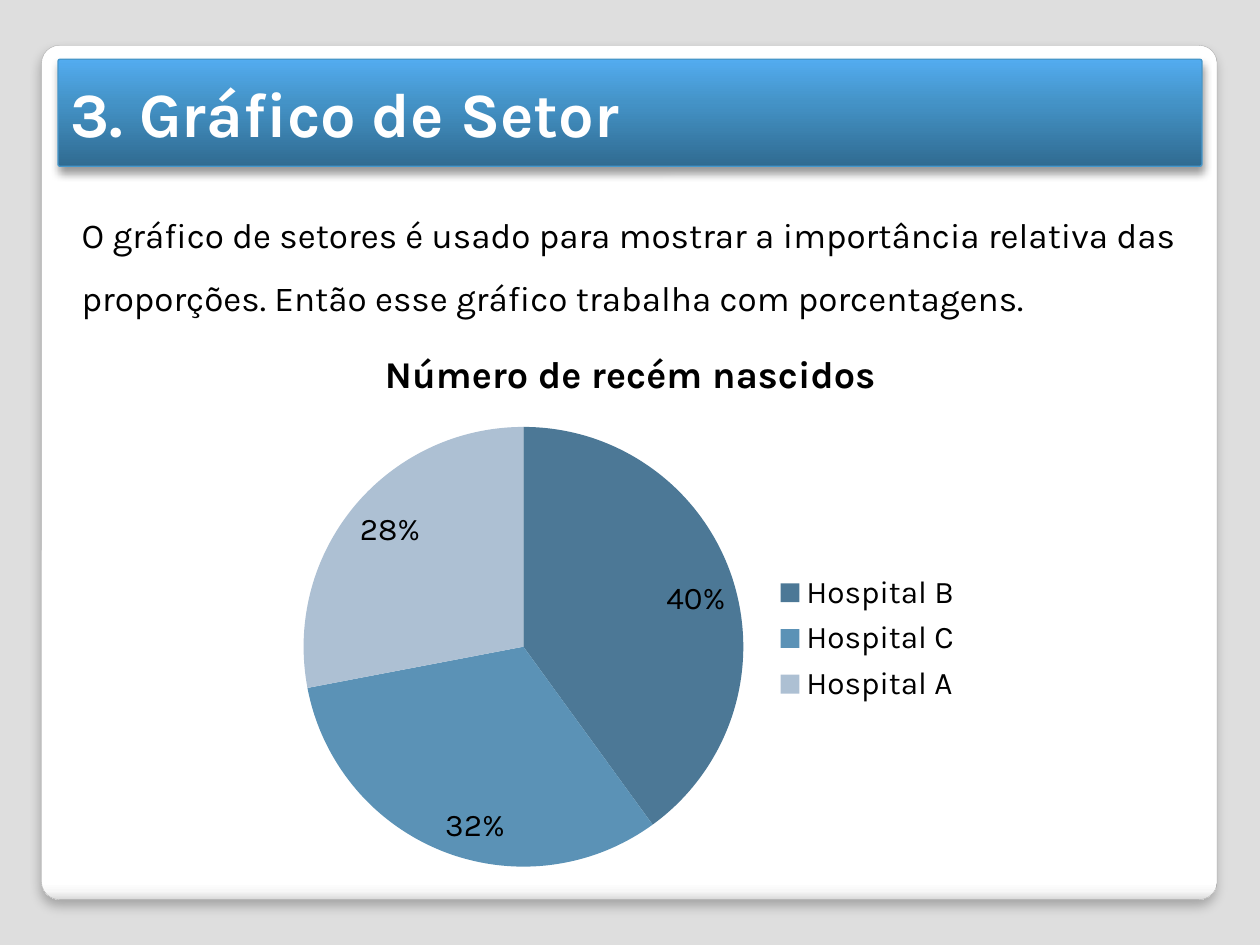
from lxml import etree
from pptx import Presentation
from pptx.chart.data import CategoryChartData
from pptx.dml.color import RGBColor
from pptx.enum.chart import XL_CHART_TYPE, XL_LABEL_POSITION, XL_LEGEND_POSITION
from pptx.enum.shapes import MSO_SHAPE
from pptx.enum.text import MSO_ANCHOR, PP_ALIGN
from pptx.oxml import parse_xml
from pptx.util import Inches, Pt

PIE = XL_CHART_TYPE.PIE
INSIDE_END = XL_LABEL_POSITION.INSIDE_END
RIGHT = XL_LEGEND_POSITION.RIGHT
ROUNDED = MSO_SHAPE.ROUNDED_RECTANGLE
MIDDLE, TOP = MSO_ANCHOR.MIDDLE, MSO_ANCHOR.TOP
LEFT = PP_ALIGN.LEFT
DRAWING = 'xmlns:a="http://schemas.openxmlformats.org/drawingml/2006/main"'
CHART = "http://schemas.openxmlformats.org/drawingml/2006/chart"
FONT = "Karla"

PANEL = {
    "stops": [(0, "FFFFFF"), (98, "FFFFFF"), (99, "F7F7F7"), (100, "DADADA")],
    "angle": 90, "line": ("A4A4A4", 0.16), "shadow": (25, 6, 4),
}
BANNER = {
    "stops": [(0, "306B91"), (60, "4493C7"), (100, "53ACF0")],
    "angle": 270, "line": ("4697CB", 0.75), "shadow": (40, 5.2, 3),
}
SHARES = {"Hospital B": (40, "4C7896"), "Hospital C": (32, "5B92B6"), "Hospital A": (28, "ADC0D3")}


def color(value):
    """Turn a hex string into a colour."""
    return RGBColor.from_string(value)


def inches(box):
    """Turn a box in inches into lengths."""
    return [Inches(length) for length in box]


def style_font(font, size, value="000000", bold=False):
    """Format a font."""
    for name, setting in {"name": FONT, "size": Pt(size), "bold": bold}.items():
        setattr(font, name, setting)
    font.color.rgb = color(value)


def add_plate(slide, box, look):
    """Add a rounded plate with a gradient and a soft shadow below."""
    plate = slide.shapes.add_shape(ROUNDED, *inches(box))
    plate.adjustments[0] = 0.021
    line_color, line_width = look["line"]
    plate.line.color.rgb = color(line_color)
    plate.line.width = Pt(line_width)
    stops = "".join(
        f'<a:gs pos="{share * 1000}"><a:srgbClr val="{value}"/></a:gs>'
        for share, value in look["stops"]
    )
    gradient = parse_xml(
        f'<a:gradFill {DRAWING} rotWithShape="1"><a:gsLst>{stops}</a:gsLst>'
        f'<a:lin ang="{look["angle"] * 60000}" scaled="0"/></a:gradFill>'
    )
    opacity, blur, distance = look["shadow"]
    effects = parse_xml(
        f'<a:effectLst {DRAWING}><a:outerShdw blurRad="{Pt(blur)}" dist="{Pt(distance)}" '
        f'dir="5400000" algn="t" rotWithShape="0"><a:srgbClr val="000000">'
        f'<a:alpha val="{opacity * 1000}"/></a:srgbClr></a:outerShdw></a:effectLst>'
    )
    properties = plate._element.spPr
    properties.insert(2, gradient)
    properties.append(effects)


def add_title(slide, box, text):
    """Place the title over its banner."""
    add_plate(slide, box, BANNER)
    title = slide.shapes.title
    title.left, title.top, title.width, title.height = inches(box)
    slide.shapes._spTree.append(title._element)
    frame = title.text_frame
    frame.text = text
    frame.vertical_anchor = MIDDLE
    para = frame.paragraphs[0]
    para.alignment = LEFT
    style_font(para.runs[0].font, 36, "FFFFFF", True)


def add_body(slide, box, text):
    """Add the introductory text."""
    frame = slide.shapes.add_textbox(*inches(box)).text_frame
    frame.word_wrap = True
    frame.vertical_anchor = TOP
    para = frame.paragraphs[0]
    para.line_spacing = 1.5
    span = para.add_run()
    span.text = text
    style_font(span.font, 20)


def place_part(part, box, inner=False):
    """Place a chart part by shares of the chart's size."""
    for old in part.findall(f"{{{CHART}}}layout"):
        part.remove(old)
    layout = etree.Element(f"{{{CHART}}}layout")
    manual = etree.SubElement(layout, f"{{{CHART}}}manualLayout")
    settings = {"layoutTarget": "inner"} if inner else {}
    settings.update(xMode="edge", yMode="edge", **dict(zip("xywh", box)))
    for name, setting in settings.items():
        etree.SubElement(manual, f"{{{CHART}}}{name}", val=str(setting))
    part.insert(0 if inner else 1, layout)


def add_pie(slide, box, heading):
    """Add the pie chart with its legend and percentages."""
    data = CategoryChartData()
    data.categories = list(SHARES)
    data.add_series(heading, [value for value, _ in SHARES.values()])
    chart = slide.shapes.add_chart(PIE, *inches(box), data).chart
    style_font(chart.font, 18)
    chart.has_title = True
    frame = chart.chart_title.text_frame
    frame.text = heading
    style_font(frame.paragraphs[0].runs[0].font, 21.6, bold=True)

    chart.has_legend = True
    legend = chart.legend
    legend.position = RIGHT
    legend.include_in_layout = False
    style_font(legend.font, 18)
    place_part(legend._element, (0.62, 0.43, 0.18, 0.26))

    plot = chart.plots[0]
    plot.vary_by_categories = True
    for index, (_, value) in enumerate(SHARES.values()):
        fill = plot.series[0].points[index].format.fill
        fill.solid()
        fill.fore_color.rgb = color(value)
    plot.has_data_labels = True
    labels = plot.data_labels
    settings = {
        "show_percentage": True, "show_value": False, "number_format": "0%",
        "number_format_is_linked": False, "position": INSIDE_END,
    }
    for name, setting in settings.items():
        setattr(labels, name, setting)
    style_font(labels.font, 18)
    place_part(plot._element.getparent(), (0.21, 0.18, 0.39, 0.79), True)


def main():
    """Build the deck."""
    deck = Presentation()
    deck.slide_width, deck.slide_height = Inches(10), Inches(7.5)
    page = deck.slides.add_slide(deck.slide_layouts[5])
    page.background.fill.solid()
    page.background.fill.fore_color.rgb = color("DEDEDE")
    add_plate(page, (0.33, 0.36, 9.33, 6.78), PANEL)
    add_title(page, (0.46, 0.47, 9.08, 0.85), "3. Gráfico de Setor")
    add_pie(page, (0.53, 2.57, 8.95, 4.46), "Número de recém nascidos")
    add_body(
        page, (0.55, 1.48, 8.91, 1.55),
        "O gráfico de setores é usado para mostrar a importância relativa das "
        "proporções. Então esse gráfico trabalha com porcentagens.",
    )
    deck.save("out.pptx")


if __name__ == "__main__":
    main()
